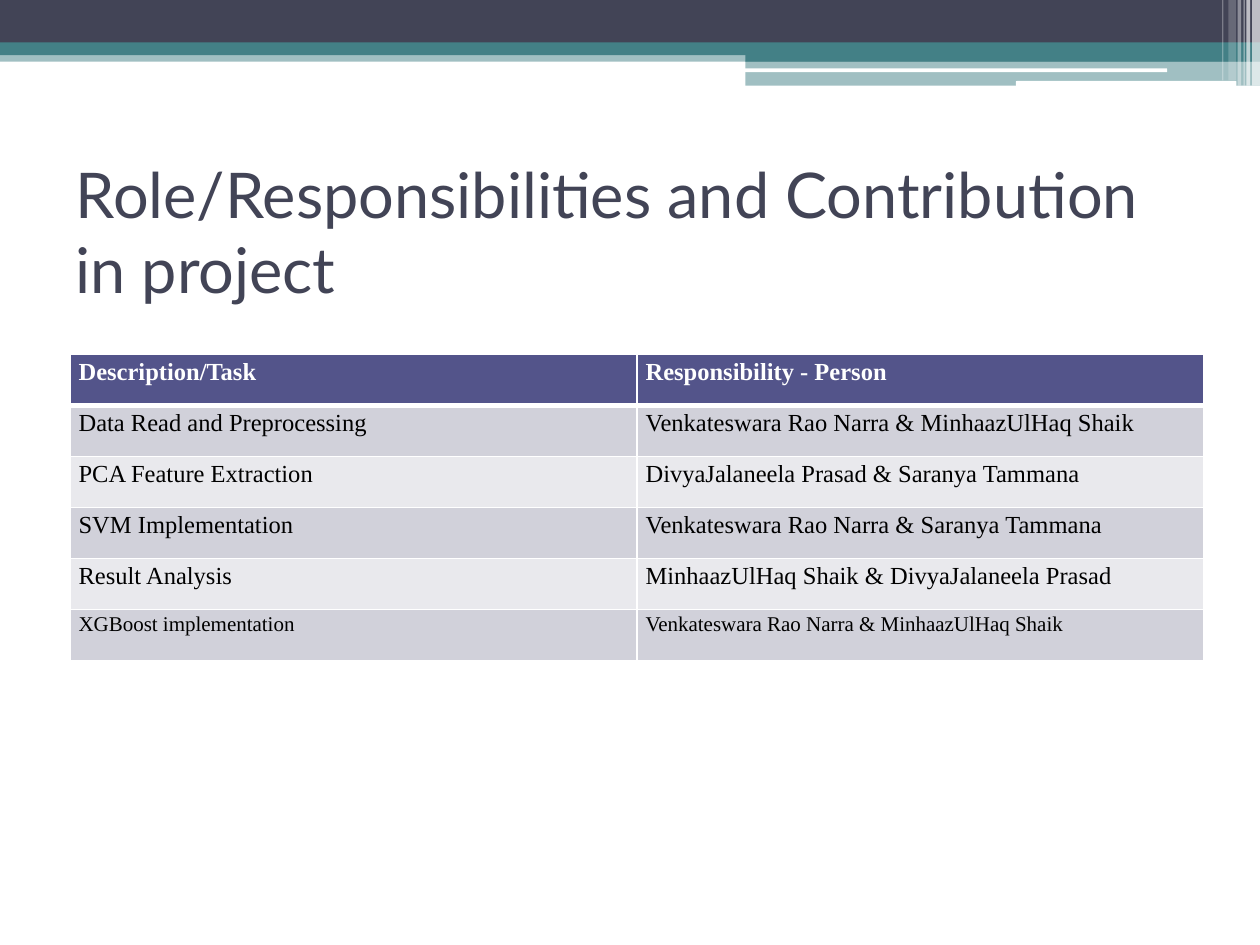
import pptx
import pptx.util
import pptx.dml.color
import pptx.enum.shapes
import pptx.enum.text
import pptx.oxml
import pptx.oxml.ns
from pptx.util import Pt

theme = {
    "navy": "424456", "teal": "438086", "white": "FFFFFF", "black": "000000",
    "header": "53548A", "odd": "D1D1DA", "even": "E9E9ED",
    "title_font": "Lato", "table_font": "Times New Roman",
    "title_size": 36, "table_size": 14, "last_size": 12,
}


def rgb(name):
    return pptx.dml.color.RGBColor.from_string(theme[name])


def add_border(cell, side, width):
    ns = pptx.oxml.ns.nsdecls("a")
    return pptx.oxml.parse_xml(
        f'<a:{side} {ns} w="{Pt(width)}"><a:solidFill>'
        f'<a:srgbClr val="{theme["white"]}"/></a:solidFill></a:{side}>')


prs = pptx.Presentation()
prs.slide_width, prs.slide_height = Pt(720), Pt(540)
s = prs.slides.add_slide(prs.slide_layouts[5])

RECT = pptx.enum.shapes.MSO_SHAPE.RECTANGLE
ROUND = pptx.enum.shapes.MSO_SHAPE.ROUNDED_RECTANGLE
bands = [
    (RECT, 0, 28.8, 720, 6.5, "teal", 50),
    (RECT, 0, 0, 720, 24.5, "navy", 100),
    (RECT, 0, 24.3, 720, 7.2, "teal", 100),
    (RECT, 426, 28.3, 294, 6.9, "teal", 100),
    (RECT, 426, 34.7, 294, 14.2, "teal", 50),
    (ROUND, 425.5, 39.1, 241.5, 2.16, "white", 100),
    (ROUND, 580.5, 46.3, 126, 2.88, "white", 100),
]
stripes = [
    (715.5, 4.5, 49, 65), (712.2, 2.16, 49, 65), (710.6, 0.72, 49, 60),
    (707.2, 2.16, 49, 40), (702, 4.32, 46, 20), (698.4, 0.72, 46, 30),
]
bands += [(RECT, x, 0, w, h, "white", a) for x, w, h, a in stripes]
for kind, x, y, w, h, color, opacity in bands:
    sp = s.shapes.add_shape(kind, Pt(x), Pt(y), Pt(w), Pt(h))
    sp.shadow.inherit = False
    sp.line.fill.background()
    sp.fill.solid()
    sp.fill.fore_color.rgb = rgb(color)
    if opacity < 100:
        clr = sp.fill._xPr.find(".//" + pptx.oxml.ns.qn("a:srgbClr"))
        alpha = clr.makeelement(pptx.oxml.ns.qn("a:alpha"), {"val": str(opacity * 1000)})
        clr.append(alpha)

title = s.shapes.title
title.left, title.top, title.width, title.height = Pt(36), Pt(90), Pt(648), Pt(84)
tf = title.text_frame
tf.text = "Role/Responsibilities and Contribution in project"
tf.word_wrap = True
tf.auto_size = pptx.enum.text.MSO_AUTO_SIZE.NONE
tf.vertical_anchor = pptx.enum.text.MSO_ANCHOR.MIDDLE
p = tf.paragraphs[0]
p.alignment = pptx.enum.text.PP_ALIGN.LEFT
r = p.runs[0]
r.font.name, r.font.size = theme["title_font"], Pt(theme["title_size"])
r.font.color.rgb = rgb("navy")

rows = [
    ("Description/Task", "Responsibility - Person"),
    ("Data Read and Preprocessing", "Venkateswara Rao Narra & MinhaazUlHaq Shaik"),
    ("PCA Feature Extraction", "DivyaJalaneela Prasad & Saranya Tammana"),
    ("SVM Implementation", "Venkateswara Rao Narra & Saranya Tammana"),
    ("Result Analysis", "MinhaazUlHaq Shaik & DivyaJalaneela Prasad"),
    ("XGBoost implementation", "Venkateswara Rao Narra & MinhaazUlHaq Shaik"),
]
row_height = 29.16
table = s.shapes.add_table(len(rows), 2, Pt(39.9), Pt(202.5), Pt(648),
                           Pt(row_height * len(rows))).table
for col in table.columns:
    col.width = Pt(324)
for i, texts in enumerate(rows):
    table.rows[i].height = Pt(row_height)
    fill = "header" if i == 0 else "odd" if i % 2 else "even"
    size = theme["last_size" if i == len(rows) - 1 else "table_size"]
    for j, text in enumerate(texts):
        cell = table.cell(i, j)
        cell.margin_left = cell.margin_right = Pt(5)
        cell.margin_top = cell.margin_bottom = 0
        cell.fill.solid()
        cell.fill.fore_color.rgb = rgb(fill)
        cell.text_frame.text = text
        p = cell.text_frame.paragraphs[0]
        p.line_spacing = 1.15
        r = p.runs[0]
        r.font.name, r.font.size, r.font.bold = theme["table_font"], Pt(size), i == 0
        r.font.color.rgb = rgb("white" if i == 0 else "black")
        widths = {"lnL": 1, "lnR": 1, "lnT": 3 if i == 1 else 1, "lnB": 3 if i == 0 else 1}
        for k, (side, width) in enumerate(widths.items()):
            cell._tc.get_or_add_tcPr().insert(k, add_border(cell, side, width))

prs.save("out.pptx")
